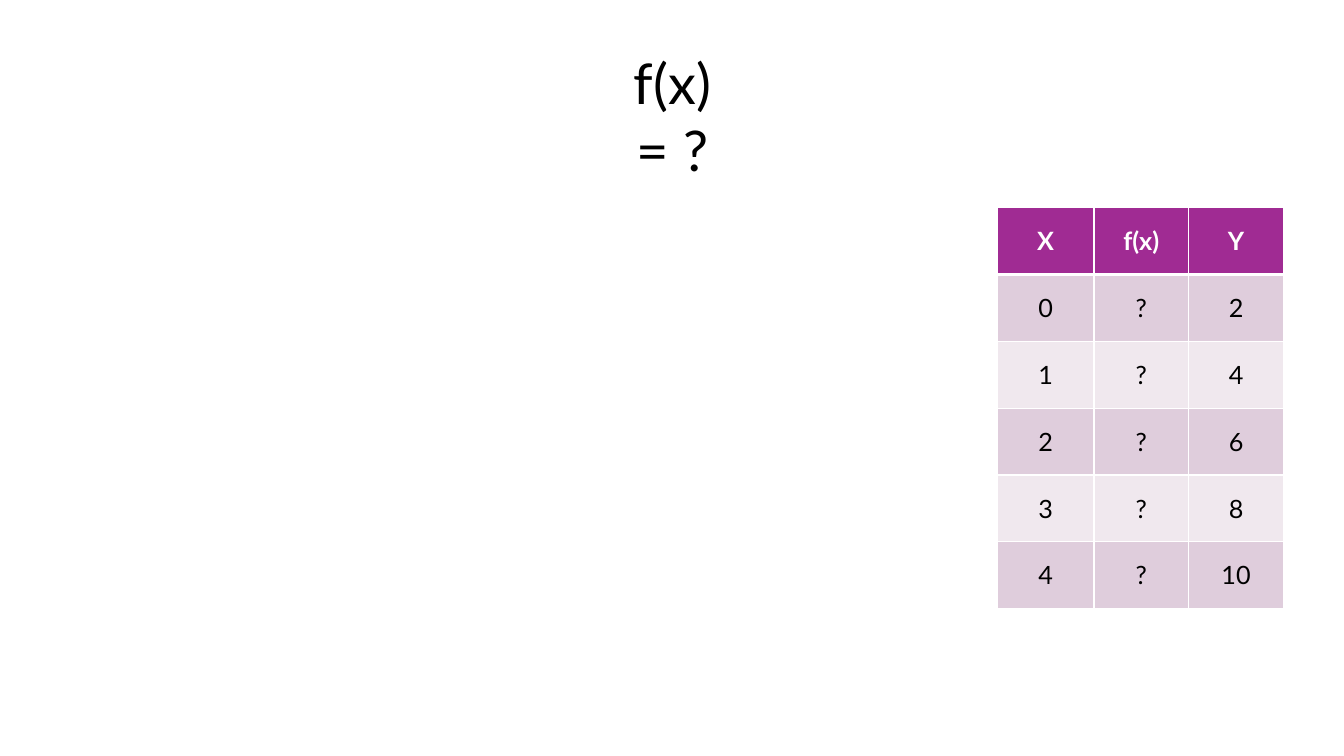
from dataclasses import dataclass

from lxml.etree import SubElement
from pptx import Presentation
from pptx.dml.color import RGBColor
from pptx.enum.text import MSO_ANCHOR as Anchor, PP_ALIGN as Align
from pptx.oxml.ns import qn
from pptx.util import Inches, Pt

FONT = "Lato"
COLORS = {
    "head": "A02B93",
    "odd": "DFCDDC",
    "even": "F0E8EE",
    "white": "FFFFFF",
    "black": "000000",
}


@dataclass
class Style:
    fill: str
    text: str
    bold: bool
    base: int = 1


HEAD = Style("head", "white", True, 3)
BANDS = [Style("odd", "black", False), Style("even", "black", False)]
COLS = [0.96, 0.94, 0.94]
ROWS = [("X", "f(x)", "Y")] + [(str(x), "?", str(2 * x + 2)) for x in range(5)]


def set_text(frame, text: str, size: int, color: str, bold: bool = False) -> None:
    frame.text = text
    para = frame.paragraphs[0]
    para.alignment = Align.CENTER
    font = para.runs[0].font
    font.name, font.size, font.bold = FONT, Pt(size), bold
    font.color.rgb = RGBColor.from_string(COLORS[color])


def add_edges(cell, top: int, base: int) -> None:
    """Draw white borders; must run before the cell is filled."""
    props = cell._tc.get_or_add_tcPr()
    for side, width in {"L": 1, "R": 1, "T": top, "B": base}.items():
        line = SubElement(props, qn(f"a:ln{side}"), w=str(Pt(width)))
        fill = SubElement(line, qn("a:solidFill"))
        SubElement(fill, qn("a:srgbClr"), val=COLORS["white"])


def add_grid(slide) -> None:
    frame = slide.shapes.add_table(
        len(ROWS), len(COLS), Inches(9.89), Inches(2.06), Inches(2.83), Inches(3.98)
    )
    table = frame.table
    for col, width in zip(table.columns, COLS):
        col.width = Inches(width)
    top = 1
    for r, row in enumerate(ROWS):
        style = BANDS[(r - 1) % 2] if r else HEAD
        for c, text in enumerate(row):
            cell = table.cell(r, c)
            add_edges(cell, top, style.base)
            cell.fill.solid()
            cell.fill.fore_color.rgb = RGBColor.from_string(COLORS[style.fill])
            cell.vertical_anchor = Anchor.MIDDLE
            set_text(cell.text_frame, text, 18, style.text, style.bold)
        top = style.base


def add_title(slide) -> None:
    box = slide.shapes.add_textbox(Inches(5.79), Inches(0.43), Inches(1.76), Inches(0.77))
    box.text_frame.word_wrap = True
    set_text(box.text_frame, "f(x) = ?", 40, "black")


def main() -> None:
    deck = Presentation()
    deck.slide_width, deck.slide_height = Inches(13.33), Inches(7.5)
    slide = deck.slides.add_slide(deck.slide_layouts[6])
    add_grid(slide)
    add_title(slide)
    deck.save("out.pptx")


if __name__ == "__main__":
    main()
